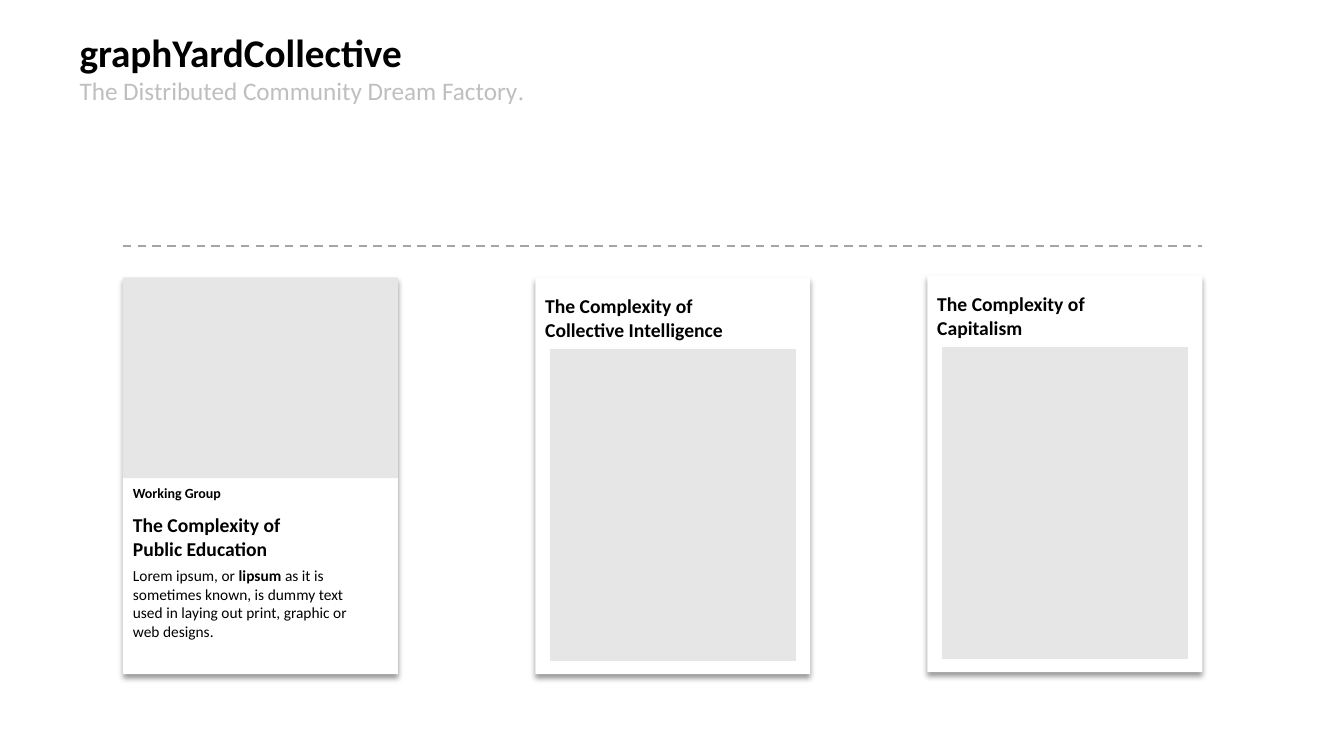
from dataclasses import dataclass

from lxml.etree import SubElement
from pptx import Presentation
from pptx.dml.color import RGBColor
from pptx.enum.dml import MSO_LINE_DASH_STYLE as Dash
from pptx.enum.shapes import MSO_CONNECTOR as Link, MSO_SHAPE as Kind
from pptx.enum.text import MSO_ANCHOR as Anchor, MSO_AUTO_SIZE as Fit, PP_ALIGN as Align
from pptx.oxml import parse_xml
from pptx.oxml.ns import nsdecls, qn
from pptx.util import Cm, Pt

BLACK = RGBColor(0x00, 0x00, 0x00)
WHITE = RGBColor(0xFF, 0xFF, 0xFF)
PALE = RGBColor(0xE7, 0xE6, 0xE6)
SILVER = RGBColor(0xBF, 0xBF, 0xBF)
GREY = RGBColor(0xA5, 0xA5, 0xA5)
FONT = "Calibri"

# Measures in centimetres
LEFT, RIGHT = 3.1, 30.3
WIDE, HIGH = 6.93, 10.0
TEXT_WIDE = 6.58


@dataclass
class Card:
    left: float
    top: float
    panel: tuple[float, float, float, float]  # offset x, offset y, width, height
    frame: bool  # white outline round the panel
    head: list[str]
    drop: float  # distance from card top to heading


COVER = (0, 0, WIDE, 5.06)
INSET = (0.36, 1.78, 6.22, 7.9)
CARDS = [
    Card(LEFT, 6.99, COVER, False, ["The Complexity of", "Public Education"], 5.81),
    Card(13.49, 6.99, INSET, True, ["The Complexity of", "Collective Intelligence"], 0.3),
    Card(RIGHT - WIDE, 6.94, INSET, True, ["The Complexity of", "Capitalism"], 0.3),
]


def style(para, size: float, color: RGBColor = BLACK, bold: bool = False) -> None:
    font = para.font
    font.name, font.size, font.bold = FONT, Pt(size), bold
    font.color.rgb = color


def add_rect(shapes, left: float, top: float, wide: float, high: float, fill: RGBColor):
    rect = shapes.add_shape(Kind.RECTANGLE, Cm(left), Cm(top), Cm(wide), Cm(high))
    rect.shadow.inherit = False
    rect.fill.solid()
    rect.fill.fore_color.rgb = fill
    rect.line.fill.background()
    return rect


def add_shade(shape) -> None:
    effects = shape._element.spPr.find(qn("a:effectLst"))
    effects.append(parse_xml(
        f'<a:outerShdw {nsdecls("a")} blurRad="50800" dist="38100" dir="5400000" '
        'algn="t" rotWithShape="0"><a:srgbClr val="000000">'
        '<a:alpha val="40000"/></a:srgbClr></a:outerShdw>'))


def add_text(shapes, left: float, top: float, high: float, lines: list[str],
             size: float, bold: bool = False):
    box = shapes.add_textbox(Cm(left), Cm(top), Cm(TEXT_WIDE), Cm(high))
    frame = box.text_frame
    frame.word_wrap = True
    frame.text = "\n".join(lines)
    for para in frame.paragraphs:
        style(para, size, bold=bold)
    return frame


def add_card(slide, card: Card) -> None:
    shapes = slide.shapes.add_group_shape().shapes
    add_shade(add_rect(shapes, card.left, card.top, WIDE, HIGH, WHITE))
    x, y, wide, high = card.panel
    panel = add_rect(shapes, card.left + x, card.top + y, wide, high, PALE)
    if card.frame:
        panel.line.color.rgb = WHITE
        panel.line.width = Pt(1)
    add_text(shapes, card.left, card.top + card.drop, 1.45, card.head, 14, True)


def add_title(slide) -> None:
    title = slide.shapes.title
    title.left, title.top, title.width, title.height = Cm(1.75), Cm(0.58), Cm(30.35), Cm(5.31)
    frame = title.text_frame
    frame.word_wrap, frame.auto_size = True, Fit.NONE
    frame.vertical_anchor = Anchor.TOP
    frame.text = "graphYardCollective\nThe Distributed Community Dream Factory"
    name, motto = frame.paragraphs
    style(name, 28, bold=True)
    style(motto, 18, SILVER)
    stop = motto.add_run()
    stop.text = "."
    stop.font.name = "Times New Roman"
    for para in frame.paragraphs:
        para.alignment = Align.LEFT


def add_rule(slide) -> None:
    rule = slide.shapes.add_connector(Link.STRAIGHT, Cm(LEFT), Cm(6.2), Cm(RIGHT), Cm(6.2))
    rule.line.color.rgb = GREY
    rule.line.width = Pt(1.5)
    rule.line.dash_style = Dash.DASH
    SubElement(rule._element.spPr, qn("a:effectLst"))


def main() -> None:
    deck = Presentation()
    deck.slide_width, deck.slide_height = Cm(33.87), Cm(19.05)
    slide = deck.slides.add_slide(deck.slide_layouts[5])

    # Heading and dashed rule
    add_title(slide)
    add_rule(slide)

    # Three cards
    for card in CARDS:
        add_card(slide, card)

    # Label and summary of the first card
    add_text(slide.shapes, LEFT, 12.09, 0.68, ["Working Group"], 10, True)
    body = add_text(slide.shapes, LEFT, 14.15, 2.14, ["Lorem ipsum, or "], 11)
    para = body.paragraphs[0]
    term, rest = para.add_run(), para.add_run()
    term.text, term.font.bold = "lipsum", True
    rest.text = (" as it is sometimes known, is dummy text used in laying out print, "
                 "graphic or web designs.")

    deck.save("out.pptx")


if __name__ == "__main__":
    main()
